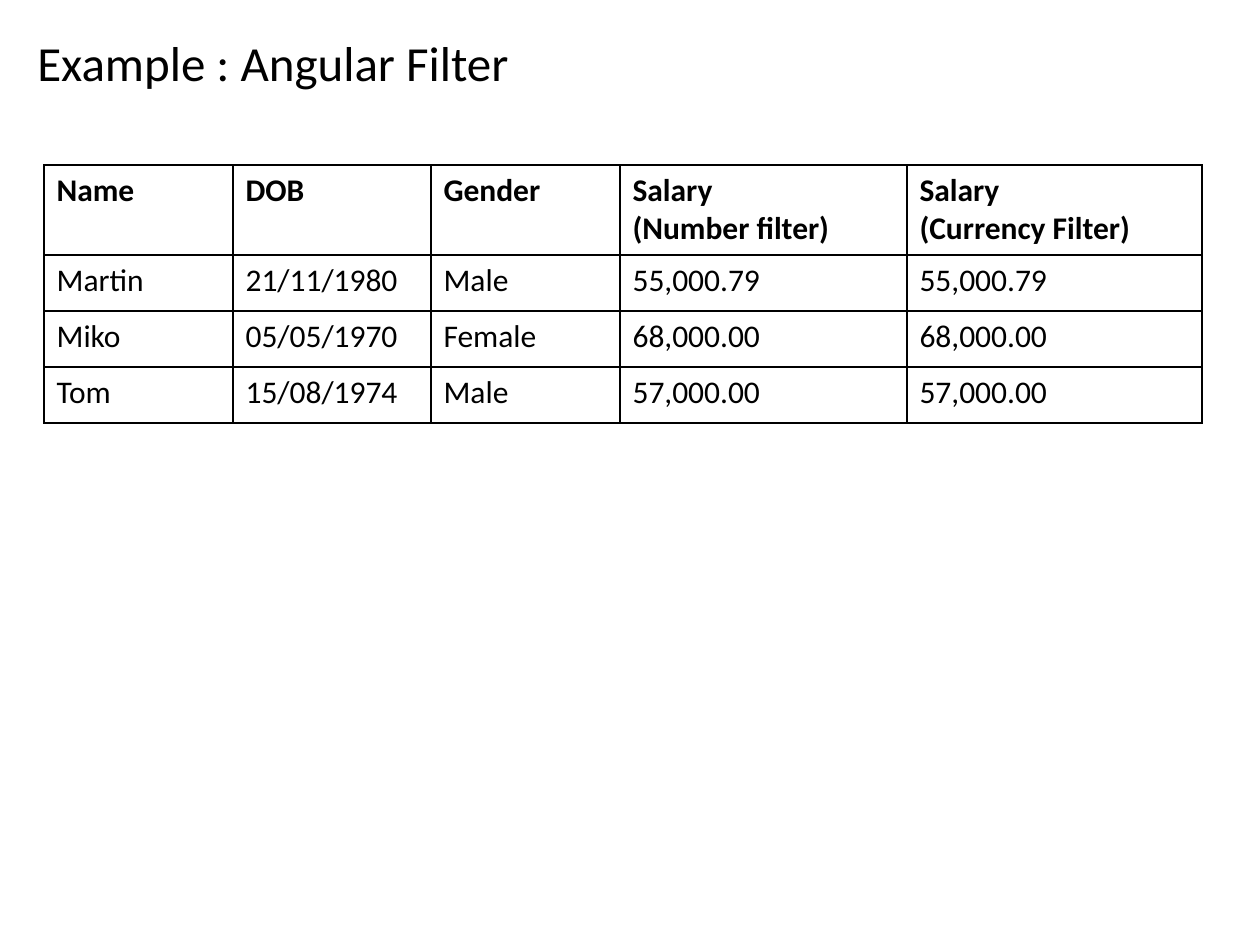
from dataclasses import dataclass

from lxml.etree import SubElement
from pptx import Presentation
from pptx.dml.color import RGBColor
from pptx.oxml.ns import qn
from pptx.util import Emu, Pt

PX_PER_INCH = 126


@dataclass(frozen=True)
class Theme:
    font: str = "Calibri"
    ink: str = "000000"
    paper: str = "FFFFFF"
    title_size: int = 28
    cell_size: int = 18
    border_width: int = 1


@dataclass(frozen=True)
class Person:
    name: str
    birth: str
    gender: str
    salary: str

    def cells(self) -> tuple[str, ...]:
        return self.name, self.birth, self.gender, self.salary, self.salary


THEME = Theme()
HEADERS = ("Name", "DOB", "Gender", "Salary\n(Number filter)", "Salary\n(Currency Filter)")
PEOPLE = (
    Person("Martin", "21/11/1980", "Male", "55,000.79"),
    Person("Miko", "05/05/1970", "Female", "68,000.00"),
    Person("Tom", "15/08/1974", "Male", "57,000.00"),
)
COLUMN_WIDTHS = (189, 198, 189, 287, 295)
ROW_HEIGHTS = (90,) + (56,) * len(PEOPLE)


def px(length: int) -> Emu:
    return Emu(round(length * 914400 / PX_PER_INCH))


def write(para, text: str, size: int, bold: bool = False) -> None:
    """Add text run by run, with a line break between its lines."""
    for index, line in enumerate(text.split("\n")):
        if index:
            para.add_line_break()
        span = para.add_run()
        span.text = line
        span.font.name = THEME.font
        span.font.size = Pt(size)
        span.font.bold = bold
        span.font.color.rgb = RGBColor.from_string(THEME.ink)


def add_borders(cell) -> None:
    properties = cell._tc.get_or_add_tcPr()
    for position, side in enumerate(("a:lnL", "a:lnR", "a:lnT", "a:lnB")):
        line = SubElement(properties, qn(side), w=str(Pt(THEME.border_width)))
        fill = SubElement(line, qn("a:solidFill"))
        SubElement(fill, qn("a:srgbClr"), val=THEME.ink)
        # Borders come before the cell fill in the schema
        properties.insert(position, line)


def add_title(page, text: str) -> None:
    box = page.shapes.add_textbox(px(25), px(26), px(1211), px(883))
    box.text_frame.word_wrap = True
    write(box.text_frame.paragraphs[0], text, THEME.title_size)


def add_people_table(page) -> None:
    rows = [HEADERS] + [person.cells() for person in PEOPLE]
    table = page.shapes.add_table(
        len(rows), len(HEADERS), px(44), px(165),
        px(sum(COLUMN_WIDTHS)), px(sum(ROW_HEIGHTS)),
    ).table
    for column, width in zip(table.columns, COLUMN_WIDTHS):
        column.width = px(width)
    for row, height in zip(table.rows, ROW_HEIGHTS):
        row.height = px(height)
    for row_index, texts in enumerate(rows):
        for column_index, text in enumerate(texts):
            cell = table.cell(row_index, column_index)
            cell.fill.solid()
            cell.fill.fore_color.rgb = RGBColor.from_string(THEME.paper)
            add_borders(cell)
            write(cell.text_frame.paragraphs[0], text, THEME.cell_size, bold=row_index == 0)


def main() -> None:
    deck = Presentation()
    deck.slide_width, deck.slide_height = px(1260), px(945)
    page = deck.slides.add_slide(deck.slide_layouts[6])
    page.background.fill.solid()
    page.background.fill.fore_color.rgb = RGBColor.from_string(THEME.paper)

    # Heading, then the table of people
    add_title(page, "Example : Angular Filter")
    add_people_table(page)

    deck.save("out.pptx")


if __name__ == "__main__":
    main()
